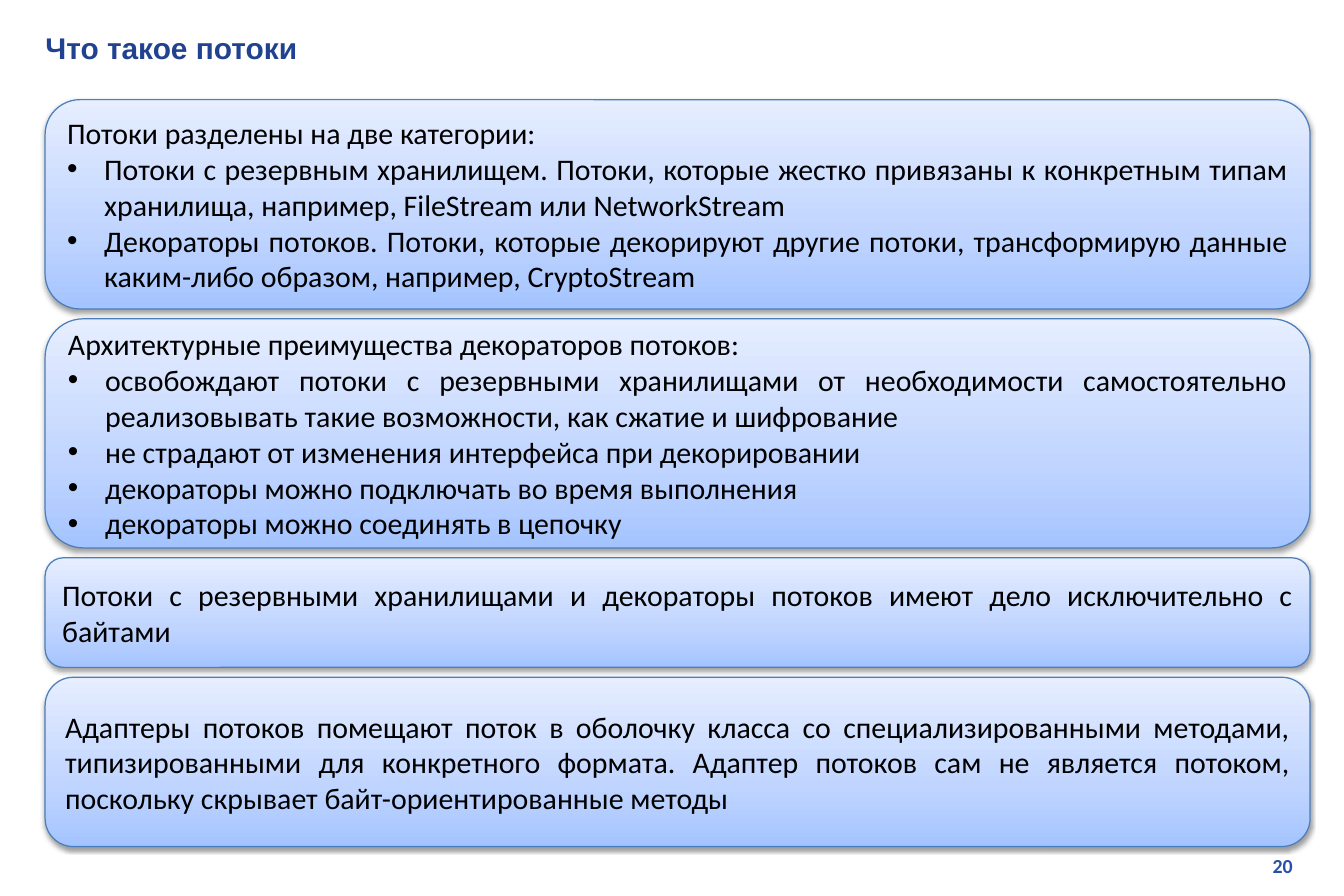
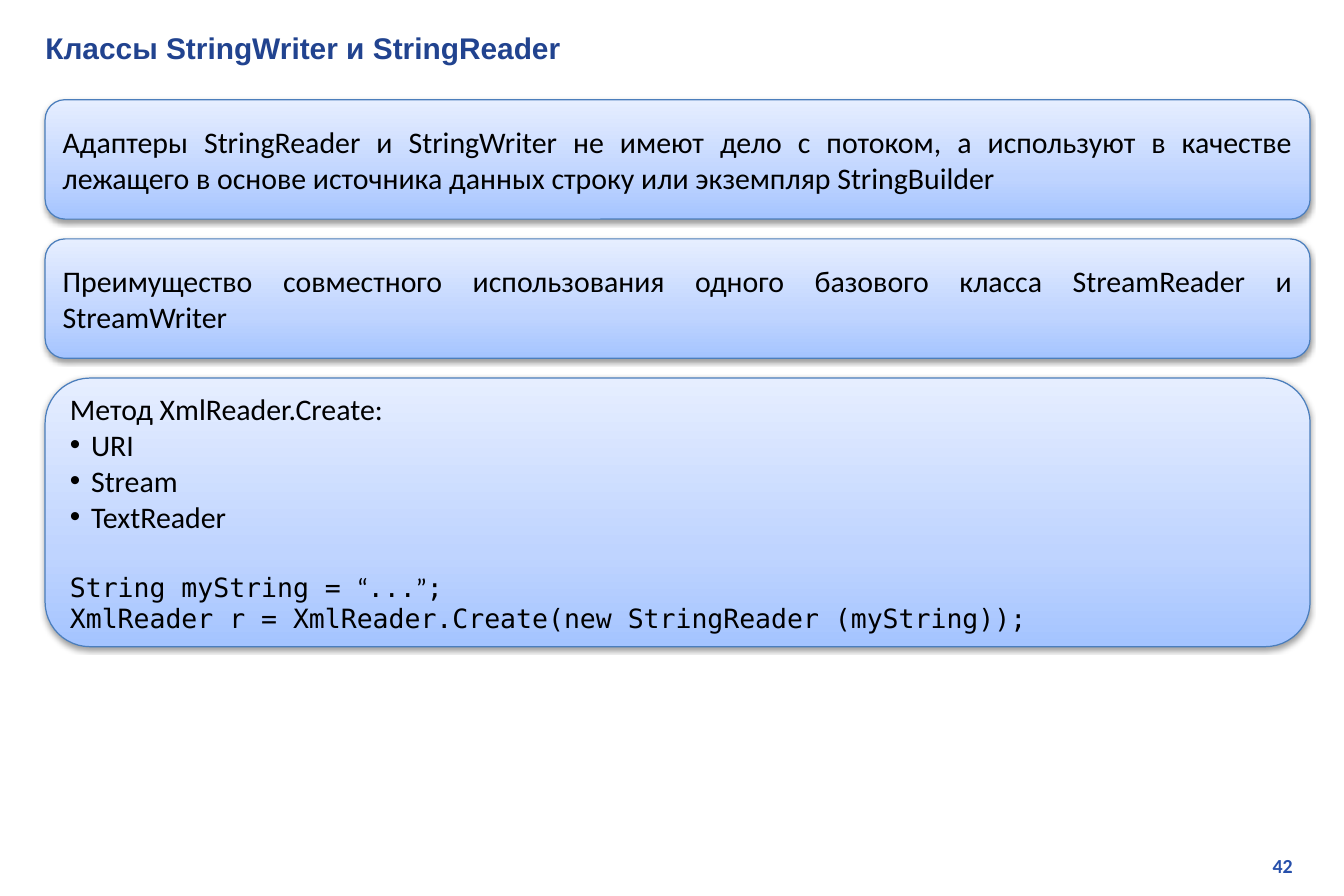
from copy import deepcopy
from dataclasses import dataclass

from lxml.etree import SubElement as Sub
from pptx import Presentation
from pptx.dml.color import RGBColor as RGB
from pptx.enum.shapes import MSO_SHAPE as Kind
from pptx.enum.text import MSO_ANCHOR as Anchor, MSO_AUTO_SIZE as Fit, PP_ALIGN as Align
from pptx.oxml.ns import qn
from pptx.util import Cm, Pt

NAVY = RGB(0x21, 0x43, 0x8F)
BLUE = RGB(0x27, 0x50, 0xAB)
EDGE = RGB(0x4B, 0x7E, 0xBC)
BLACK = RGB(0, 0, 0)
FADE = ((0, RGB(0xA4, 0xC4, 0xFF)), (0.35, RGB(0xBF, 0xD4, 0xFF)), (1, RGB(0xE6, 0xEE, 0xFF)))

SANS, HEAD, MONO = "Calibri", "Arial", "DejaVu Sans Mono"
LEFT, TOP, WIDTH = 0.96, 2.12, 26.9


@dataclass(frozen=True)
class Run:
    text: str
    font: str = SANS
    size: int = 18
    color: RGB = BLACK
    bold: bool = False


@dataclass(frozen=True)
class Para:
    runs: tuple[Run, ...]
    indent: float = 0
    align: Align = Align.JUSTIFY
    before: int = 0


@dataclass(frozen=True)
class Panel:
    height: float
    paras: tuple[Para, ...]


@dataclass(frozen=True)
class Page:
    number: int
    title: str
    gap: float
    panels: tuple[Panel, ...]


def plain(text: str, align: Align = Align.JUSTIFY) -> Para:
    return Para((Run(text),), align=align)


def items(*texts: str, indent: float = 0.79, align: Align = Align.JUSTIFY) -> tuple[Para, ...]:
    return tuple(Para((Run(text),), indent, align) for text in texts)


def code(*parts: str, before: int = 0) -> Para:
    """Make a line of code, with its curly quotes in the text font."""
    runs = tuple(Run(part, SANS if part in "“”" else MONO, 16) for part in parts)
    return Para(runs, align=Align.LEFT, before=before)


PAGES = (
    Page(20, "Что такое потоки", 0.21, (
        Panel(4.45, (
            plain("Потоки разделены на две категории:"),
            *items(
                "Потоки с резервным хранилищем. Потоки, которые жестко привязаны к конкретным "
                "типам хранилища, например, FileStream или NetworkStream",
                "Декораторы потоков. Потоки, которые декорируют другие потоки, трансформирую "
                "данные каким-либо образом, например, CryptoStream",
            ),
        )),
        Panel(4.87, (
            plain("Архитектурные преимущества декораторов потоков:"),
            *items(
                "освобождают потоки с резервными хранилищами от необходимости самостоятельно "
                "реализовывать такие возможности, как сжатие и шифрование",
                "не страдают от изменения интерфейса при декорировании",
                "декораторы можно подключать во время выполнения",
                "декораторы можно соединять в цепочку",
            ),
        )),
        Panel(2.33, (
            plain("Потоки с резервными хранилищами и декораторы потоков имеют дело "
                  "исключительно с байтами"),
        )),
        Panel(3.6, (
            plain("Адаптеры потоков помещают поток в оболочку класса со специализированными "
                  "методами, типизированными для конкретного формата. Адаптер потоков сам не "
                  "является потоком, поскольку скрывает байт-ориентированные методы"),
        )),
    )),
    Page(42, "Классы StringWriter и StringReader", 0.42, (
        Panel(2.54, (
            plain("Адаптеры StringReader и StringWriter не имеют дело с потоком, а используют "
                  "в качестве лежащего в основе источника данных строку или экземпляр "
                  "StringBuilder"),
        )),
        Panel(2.54, (
            plain("Преимущество совместного использования одного базового класса StreamReader "
                  "и StreamWriter"),
        )),
        Panel(5.71, (
            plain("Метод XmlReader.Create:", Align.LEFT),
            *items("URI", "Stream", "TextReader", indent=0.45, align=Align.LEFT),
            code("String myString = ", "“", "...", "”", ";", before=22),
            code("XmlReader r = XmlReader.Create(new StringReader (myString));"),
        )),
    )),
)


def place(shape, left: float, top: float, width: float, height: float) -> None:
    shape.left, shape.top, shape.width, shape.height = map(Cm, (left, top, width, height))


def write(frame, paras: tuple[Para, ...], anchor: Anchor = Anchor.MIDDLE) -> None:
    frame.word_wrap = True
    frame.auto_size = Fit.NONE
    frame.vertical_anchor = anchor
    for i, para in enumerate(paras):
        line = frame.add_paragraph() if i else frame.paragraphs[0]
        line.alignment = para.align
        if para.indent:
            props = line._p.get_or_add_pPr()
            props.set("marL", str(Cm(para.indent)))
            props.set("indent", str(-Cm(para.indent)))
            Sub(props, qn("a:buFont"), typeface=HEAD)
            Sub(props, qn("a:buChar"), char="•")
        if para.before:
            line.space_before = Pt(para.before)
        for run in para.runs:
            piece = line.add_run()
            piece.text = run.text
            font = piece.font
            font.name, font.size, font.bold = run.font, Pt(run.size), run.bold
            font.color.rgb = run.color


def shade(shape) -> None:
    """Give the shape the three-stop fade, thin edge and soft shadow."""
    fill = shape.fill
    fill.gradient()
    fill.gradient_angle = 90
    props = shape._element.spPr
    stops = props.find(".//" + qn("a:gsLst"))
    stops.append(deepcopy(stops[0]))
    for stop, (pos, color) in zip(fill.gradient_stops, FADE):
        stop.position = pos
        stop.color.rgb = color
    shape.line.color.rgb = EDGE
    shape.line.width = Pt(0.75)
    shape.shadow.inherit = False
    cast = Sub(props.find(qn("a:effectLst")), qn("a:outerShdw"), blurRad=str(Pt(3.1)),
               dist=str(Pt(1.6)), dir="5400000", rotWithShape="0")
    Sub(Sub(cast, qn("a:srgbClr"), val=str(BLACK)), qn("a:alpha"), val="38000")


def draw(deck, page: Page) -> None:
    slide = deck.slides.add_slide(deck.slide_layouts[5])
    title = slide.shapes.title
    place(title, 0.71, 0.51, 27.28, 1.02)
    write(title.text_frame, (Para((Run(page.title, HEAD, 18, NAVY, True),), align=Align.LEFT),))

    top = TOP
    for panel in page.panels:
        box = slide.shapes.add_shape(Kind.ROUNDED_RECTANGLE, *map(Cm, (LEFT, top, WIDTH, panel.height)))
        shade(box)
        write(box.text_frame, panel.paras)
        top += panel.height + page.gap

    foot = slide.shapes.add_textbox(*map(Cm, (21.69, 18.03, 6.05, 0.76)))
    mark = Run(str(page.number), SANS, 12, BLUE, True)
    write(foot.text_frame, (Para((mark,), align=Align.RIGHT),), Anchor.TOP)


def main() -> None:
    deck = Presentation()
    deck.slide_width, deck.slide_height = Cm(28.58), Cm(19.05)
    for page in PAGES:
        draw(deck, page)
    deck.save("out.pptx")


if __name__ == "__main__":
    main()
